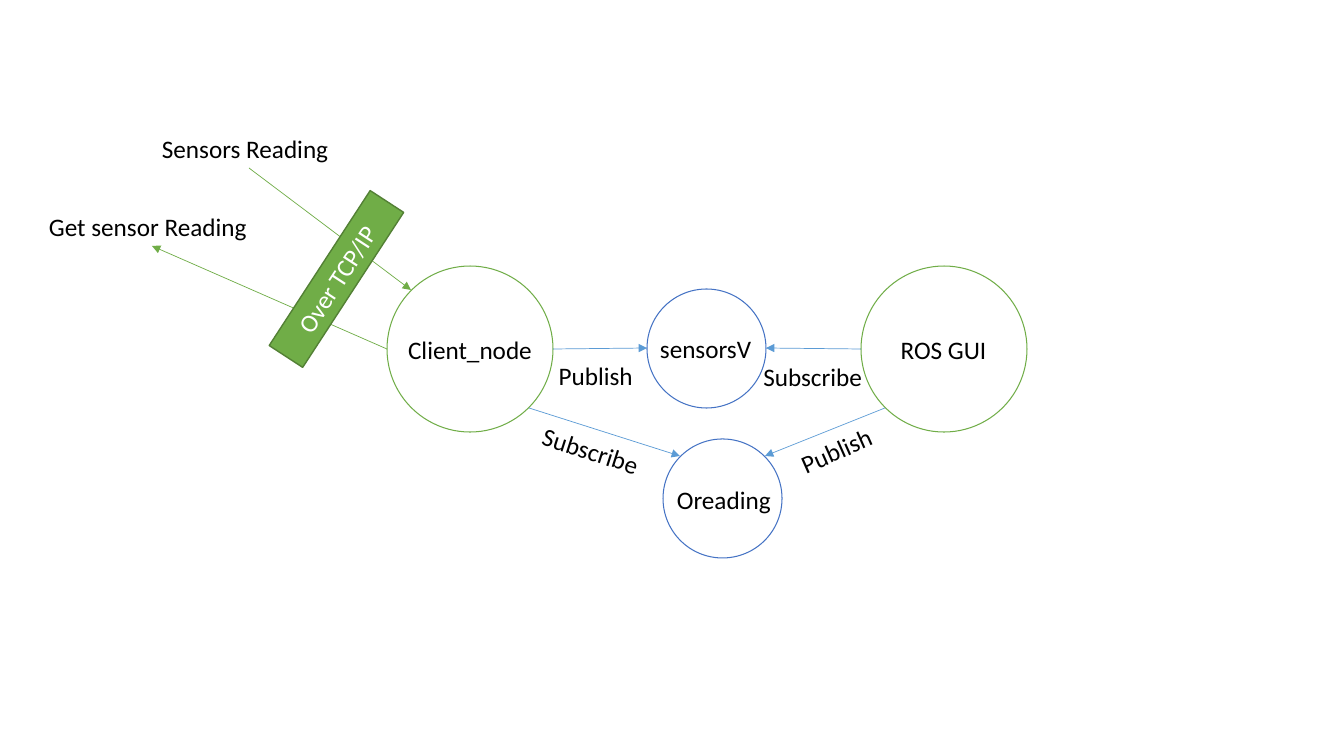
from dataclasses import dataclass
from math import cos, radians, sin

from lxml.etree import SubElement
from pptx import Presentation
from pptx.dml.color import RGBColor
from pptx.enum.shapes import MSO_CONNECTOR as Connector, MSO_SHAPE as Preset
from pptx.enum.text import MSO_ANCHOR as Anchor, PP_ALIGN as Align
from pptx.oxml.ns import qn
from pptx.shapes.base import BaseShape
from pptx.util import Emu, Pt

EMU_PER_PIXEL = 914400 / 100.8
LABEL_HEIGHT = 40
FONT = "Calibri"
BLACK = RGBColor(0x00, 0x00, 0x00)
WHITE = RGBColor(0xFF, 0xFF, 0xFF)
GREEN = RGBColor(0x70, 0xAD, 0x47)
DARK_GREEN = RGBColor(0x53, 0x80, 0x35)
TOPIC_BLUE = RGBColor(0x44, 0x72, 0xC4)
ARROW_BLUE = RGBColor(0x5B, 0x9B, 0xD5)

Point = tuple[int, int]


@dataclass(frozen=True)
class Circle:
    left: int
    top: int
    diameter: int
    color: RGBColor

    def edge(self, degrees: float) -> Point:
        radius = self.diameter / 2
        angle = radians(degrees)
        return (round(self.left + radius * (1 + cos(angle))),
                round(self.top + radius * (1 + sin(angle))))


@dataclass(frozen=True)
class Label:
    text: str
    left: int
    top: int
    width: int
    align: Align = Align.CENTER
    rotation: float = 0
    wrap: bool = True


@dataclass(frozen=True)
class Arrow:
    start: Point
    end: Point
    color: RGBColor


def px(pixels: float) -> Emu:
    return Emu(round(pixels * EMU_PER_PIXEL))


def write(shape: BaseShape, label: Label, color: RGBColor) -> None:
    shape.rotation = label.rotation
    frame = shape.text_frame
    frame.word_wrap = label.wrap
    frame.text = label.text
    paragraph = frame.paragraphs[0]
    paragraph.alignment = label.align
    font = paragraph.runs[0].font
    font.name, font.size = FONT, Pt(18)
    font.color.rgb = color


def draw_circle(circle: Circle) -> None:
    oval = slide.shapes.add_shape(
        Preset.OVAL, px(circle.left), px(circle.top),
        px(circle.diameter), px(circle.diameter))
    oval.shadow.inherit = False
    oval.fill.background()
    oval.line.color.rgb = circle.color
    oval.line.width = Pt(0.75)


def draw_arrow(arrow: Arrow) -> None:
    connector = slide.shapes.add_connector(
        Connector.STRAIGHT, *map(px, arrow.start + arrow.end))
    connector.line.color.rgb = arrow.color
    connector.line.width = Pt(0.5)
    SubElement(connector.line._get_or_add_ln(), qn("a:tailEnd"), type="triangle")
    SubElement(connector._element.spPr, qn("a:effectLst"))


def draw_label(label: Label) -> None:
    box = slide.shapes.add_textbox(
        px(label.left), px(label.top), px(label.width), px(LABEL_HEIGHT))
    write(box, label, BLACK)


def draw_barrier(label: Label) -> None:
    barrier = slide.shapes.add_shape(
        Preset.RECTANGLE, px(label.left), px(label.top),
        px(label.width), px(LABEL_HEIGHT))
    barrier.shadow.inherit = False
    barrier.fill.solid()
    barrier.fill.fore_color.rgb = GREEN
    barrier.line.color.rgb = DARK_GREEN
    barrier.line.width = Pt(1)
    barrier.text_frame.vertical_anchor = Anchor.MIDDLE
    write(barrier, label, WHITE)


client_node = Circle(387, 266, 166, GREEN)
ros_gui = Circle(861, 266, 166, GREEN)
sensors_topic = Circle(647, 289, 119, TOPIC_BLUE)
reading_topic = Circle(663, 439, 119, TOPIC_BLUE)

circles = [client_node, ros_gui, sensors_topic, reading_topic]
arrows = [
    Arrow((249, 168), client_node.edge(225), GREEN),
    Arrow(client_node.edge(180), (152, 246), GREEN),
    Arrow(client_node.edge(0), sensors_topic.edge(180), ARROW_BLUE),
    Arrow(ros_gui.edge(180), sensors_topic.edge(0), ARROW_BLUE),
    Arrow(client_node.edge(45), reading_topic.edge(225), ARROW_BLUE),
    Arrow(ros_gui.edge(135), reading_topic.edge(315), ARROW_BLUE),
]
labels = [
    Label("Sensors Reading", 152, 128, 194, Align.LEFT),
    Label("Get sensor Reading", 39, 206, 227, Align.LEFT),
    Label("Client_node", 396, 329, 148),
    Label("ROS GUI", 883, 329, 121),
    Label("sensorsV", 650, 328, 113, Align.LEFT, wrap=False),
    Label("Oreading", 667, 479, 115, Align.LEFT, wrap=False),
    Label("Publish ", 534, 355, 129),
    Label("Subscribe ", 751, 356, 129),
    Label("Publish ", 774, 429, 129, rotation=336),
    Label("Subscribe ", 529, 431, 129, rotation=17.8),
]

presentation = Presentation()
presentation.slide_width, presentation.slide_height = px(1344), px(756)
slide = presentation.slides.add_slide(presentation.slide_layouts[6])

for circle in circles:
    draw_circle(circle)
for arrow in arrows:
    draw_arrow(arrow)
for label in labels:
    draw_label(label)
draw_barrier(Label("Over TCP/IP", 244, 259, 185, rotation=303.1))

presentation.save("out.pptx")
